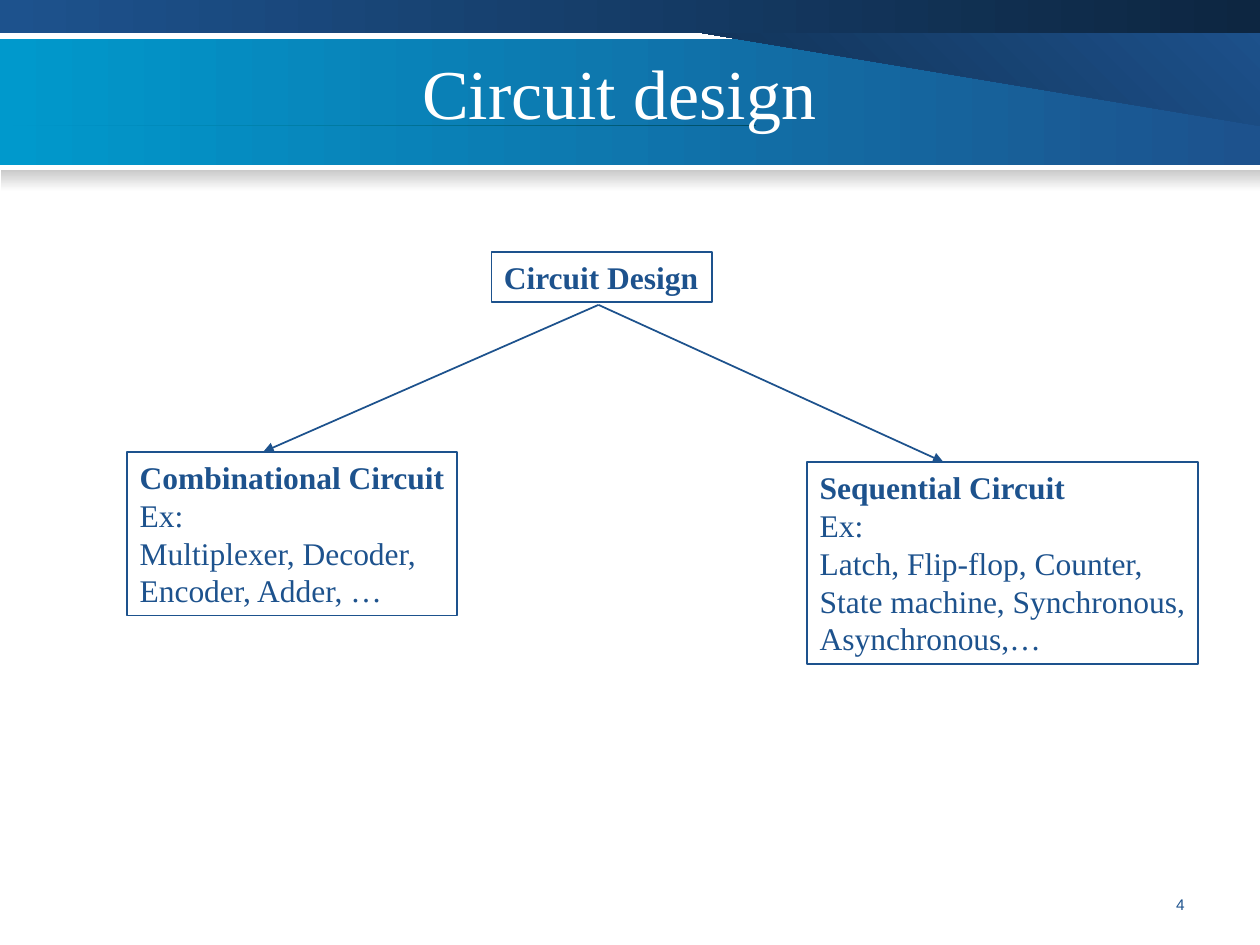
from dataclasses import dataclass

from pptx import Presentation
from pptx.dml.color import RGBColor
from pptx.enum.shapes import MSO_CONNECTOR, MSO_SHAPE
from pptx.enum.text import MSO_ANCHOR, MSO_AUTO_SIZE, PP_ALIGN
from pptx.oxml.ns import qn
from pptx.util import Inches, Pt
from lxml import etree

RECT, STRAIGHT = MSO_SHAPE.RECTANGLE, MSO_CONNECTOR.STRAIGHT
MIDDLE, TOP = MSO_ANCHOR.MIDDLE, MSO_ANCHOR.TOP
LEFT, CENTER, RIGHT = PP_ALIGN.LEFT, PP_ALIGN.CENTER, PP_ALIGN.RIGHT
FIT_SHAPE, FIXED = MSO_AUTO_SIZE.SHAPE_TO_FIT_TEXT, MSO_AUTO_SIZE.NONE
WIDTH, HEIGHT = 10, 7.5


@dataclass(frozen=True)
class Theme:
    blue: str = "1D528D"
    navy: str = "0D2641"
    cyan: str = "0099CC"
    teal: str = "00475E"
    gray: str = "CACACA"
    white: str = "FFFFFF"
    serif: str = "Times New Roman"
    sans: str = "Arial"
    title_size: float = 40
    body_size: float = 18
    number_size: float = 8.8
    line_width: float = 1


THEME = Theme()


def inches(*values):
    return [Inches(v) for v in values]


def set_font(p, name, size, color, bold=False):
    p.font.name, p.font.size, p.font.bold = name, Pt(size), bold
    p.font.color.rgb = RGBColor.from_string(color)


def paint_gradient(sp, start, end, angle):
    """Fill without outline; angle runs counter-clockwise."""
    sp.shadow.inherit = False
    sp.line.fill.background()
    sp.fill.gradient()
    sp.fill.gradient_angle = angle
    for stop, color, position in zip(sp.fill.gradient_stops, (start, end), (0, 1)):
        stop.color.rgb = RGBColor.from_string(color)
        stop.position = position


def add_band(s, box, start, end, angle=0):
    sp = s.shapes.add_shape(RECT, *inches(*box))
    paint_gradient(sp, start, end, angle)


def add_wedge(s, points, start, end, angle):
    builder = s.shapes.build_freeform(*points[0], scale=Inches(1))
    builder.add_line_segments(points[1:], close=True)
    paint_gradient(builder.convert_to_shape(), start, end, angle)


def add_banner(s, box):
    left, top, width, height = box
    right, bottom = left + width, top + height
    add_band(s, box, THEME.cyan, THEME.blue)
    add_wedge(s, [(left + 0.39 * width, top), (right, top), (right, top + 0.36 * height)],
              THEME.blue, THEME.navy, 225)
    add_wedge(s, [(left, bottom), (left + 0.64 * width, bottom), (left, top + 0.5 * height)],
              THEME.cyan, THEME.teal, 45)
    add_band(s, (left, 0, width, 0.26), THEME.blue, THEME.navy)
    add_band(s, (left + 0.01, bottom + 0.04, width - 0.01, 0.17), THEME.gray, THEME.white, 270)


def add_title(s, box, text):
    title = s.shapes.title
    s.shapes._spTree.append(title._element)  # bring in front of the banner
    title.left, title.top, title.width, title.height = inches(*box)
    tf = title.text_frame
    tf.text, tf.vertical_anchor, tf.auto_size = text, MIDDLE, FIXED
    p = tf.paragraphs[0]
    p.alignment = CENTER
    set_font(p, THEME.serif, THEME.title_size, THEME.white)


def add_slide_number(s, box, number):
    tf = s.shapes.add_textbox(*inches(*box)).text_frame
    tf.word_wrap = True
    p = tf.paragraphs[0]
    p.text, p.alignment, p.line_spacing = str(number), RIGHT, 0.8
    set_font(p, THEME.sans, THEME.number_size, THEME.blue)


def add_node(s, box, heading, *details):
    sp = s.shapes.add_textbox(*inches(*box))
    sp.line.color.rgb = RGBColor.from_string(THEME.blue)
    sp.line.width = Pt(THEME.line_width)
    tf = sp.text_frame
    tf.word_wrap, tf.auto_size, tf.vertical_anchor = False, FIT_SHAPE, TOP
    tf.text = "\n".join((heading, *details))
    for i, p in enumerate(tf.paragraphs):
        p.alignment = LEFT
        set_font(p, THEME.serif, THEME.body_size, THEME.blue, bold=i == 0)


def add_arrow(s, start, end):
    line = s.shapes.add_connector(STRAIGHT, *inches(*start, *end))
    line.line.color.rgb = RGBColor.from_string(THEME.blue)
    line.line.width = Pt(THEME.line_width)
    etree.SubElement(line.line._get_or_add_ln(), qn("a:tailEnd"), type="triangle")
    etree.SubElement(line._element.spPr, qn("a:effectLst"))


def add_tree(s, box, root, branches):
    """Place a root node and its branches, each box relative to the tree's own."""
    left, top, width, height = box
    add_node(s, (left + 0.34 * width, top, 1.75, 0.4), root)
    for (x, y, w, h), texts in branches:
        x, y = left + x * width, top + y * height
        add_node(s, (x, y, w, h), *texts)
        add_arrow(s, (left + 0.44 * width, top + 0.42), (x + 1.08, y))


def main():
    prs = Presentation()
    prs.slide_width, prs.slide_height = inches(WIDTH, HEIGHT)
    s = prs.slides.add_slide(prs.slide_layouts[5])
    add_banner(s, (0, 0.31, WIDTH, 1))
    add_slide_number(s, (7.17, 7.08, 2.33, 0.27), 4)
    add_title(s, (0.83, 0.25, 8.17, 0.95), "Circuit design")
    add_tree(s, (1.01, 2, 8.5, 3.27), "Circuit Design", [
        ((0, 0.485, 2.62, 1.3),
         ("Combinational Circuit", "Ex:", "Multiplexer, Decoder,", "Encoder, Adder, …")),
        ((0.635, 0.51, 3.1, 1.6),
         ("Sequential Circuit", "Ex:", "Latch, Flip-flop, Counter,",
          "State machine, Synchronous,", "Asynchronous,…")),
    ])
    prs.save("out.pptx")


if __name__ == "__main__":
    main()
